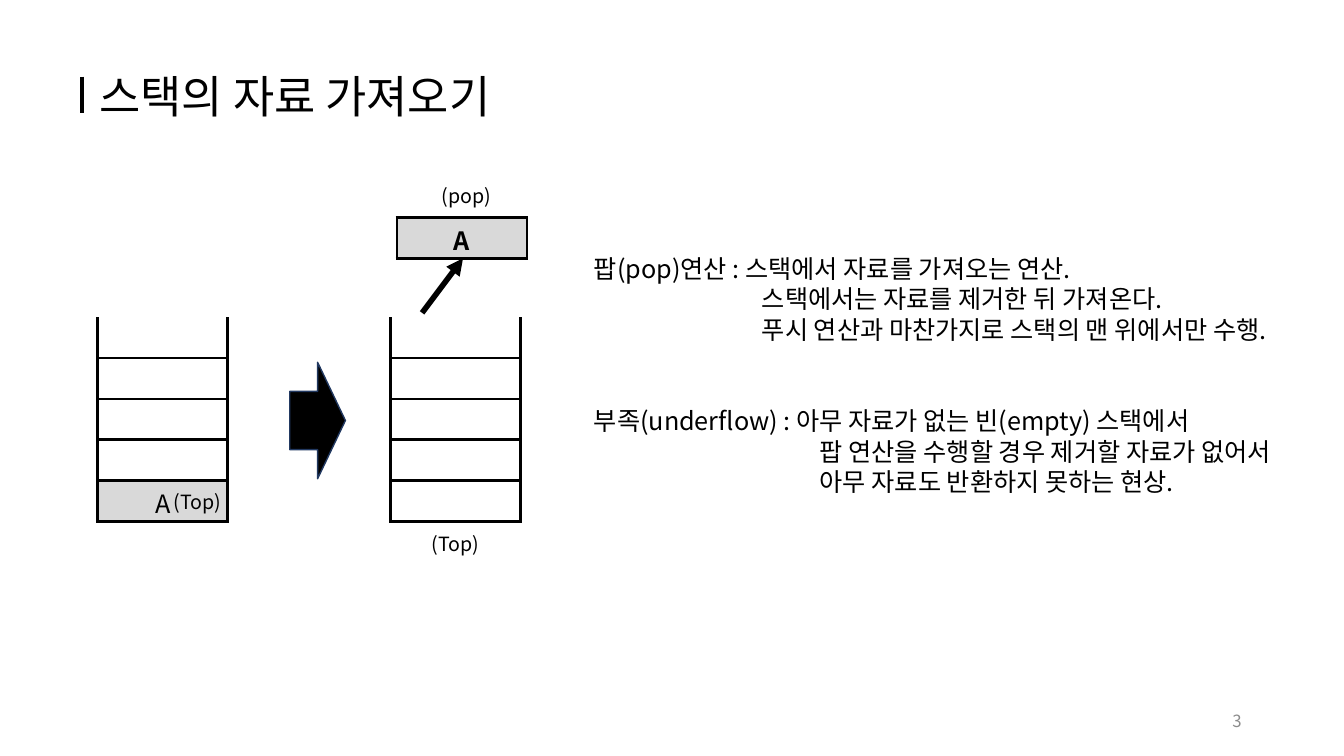
from lxml import etree
from pptx import Presentation
from pptx import util as u
from pptx.dml.color import RGBColor
from pptx.enum import shapes, text
from pptx.oxml.ns import qn

PX = 9525  # EMU in one px, 96 px to the inch


class Theme:
    font = "Noto Sans CJK KR"
    black, white, top_fill = "000000", "FFFFFF", "D9D9D9"
    arrow_edge, number = "223961", "8C8C8C"
    title, body, label, small = 32, 18, 14, 12
    leading = 1.21
    border = 2.25


def px(*lengths):
    return [u.Emu(length * PX) for length in lengths]


def rgb(colour):
    return RGBColor.from_string(colour)


def format_paragraph(paragraph, size, colour=Theme.black, bold=False,
                     align=text.PP_ALIGN.LEFT):
    paragraph.alignment = align
    paragraph.line_spacing = u.Pt(round(size * Theme.leading, 1))
    paragraph.space_before = u.Pt(0)
    for run in paragraph.runs:
        run.font.name, run.font.size, run.font.bold = Theme.font, u.Pt(size), bold
        run.font.color.rgb = rgb(colour)
        east_asian = etree.SubElement(run.font._element, qn("a:ea"))
        east_asian.set("typeface", Theme.font)


def place(shape, left, top, width, height):
    shape.left, shape.top, shape.width, shape.height = px(left, top, width, height)
    frame = shape.text_frame
    frame.word_wrap = True
    frame.auto_size = text.MSO_AUTO_SIZE.NONE
    frame.vertical_anchor = text.MSO_ANCHOR.TOP
    return frame


def add_label(slide, words, box, size=Theme.label, **style):
    frame = place(slide.shapes.add_textbox(*px(*box)), *box)
    frame.text = words
    format_paragraph(frame.paragraphs[0], size, **style)
    return frame


def add_line(slide, start, end, width, arrow=False):
    line = slide.shapes.add_connector(shapes.MSO_CONNECTOR.STRAIGHT, *px(*start, *end))
    line.line.color.rgb = rgb(Theme.black)
    line.line.width = u.Pt(width)
    if arrow:
        etree.SubElement(line.line._get_or_add_ln(), qn("a:tailEnd"), type="triangle")
    etree.SubElement(line._element.spPr, qn("a:effectLst"))


def set_borders(cell, open_top):
    properties = cell._tc.get_or_add_tcPr()
    for side in "LRTB":
        border = etree.SubElement(properties, qn(f"a:ln{side}"),
                                  w=str(u.Pt(Theme.border)))
        if side == "T" and open_top:
            etree.SubElement(border, qn("a:noFill"))
        else:
            fill = etree.SubElement(border, qn("a:solidFill"))
            etree.SubElement(fill, qn("a:srgbClr"), val=Theme.black)


def add_stack(slide, left, top, items, open_top=True, bold=False):
    """Draw one cell for each item; a filled item is shaded."""
    width, row_height = 124, 39
    frame = slide.shapes.add_table(len(items), 1,
                                   *px(left, top, width, row_height * len(items)))
    table = frame.table
    table.first_row = table.horz_banding = False
    for row, item in enumerate(items):
        cell = table.cell(row, 0)
        set_borders(cell, open_top and row == 0)
        cell.fill.solid()
        cell.fill.fore_color.rgb = rgb(Theme.top_fill if item else Theme.white)
        cell.margin_top, cell.margin_bottom = px(9, 0)
        cell.text = item
        format_paragraph(cell.text_frame.paragraphs[0], Theme.body, bold=bold,
                         align=text.PP_ALIGN.CENTER)


def add_block_arrow(slide, box):
    arrow = slide.shapes.add_shape(shapes.MSO_SHAPE.RIGHT_ARROW, *px(*box))
    arrow.shadow.inherit = False
    arrow.fill.solid()
    arrow.fill.fore_color.rgb = rgb(Theme.black)
    arrow.line.color.rgb = rgb(Theme.arrow_edge)
    arrow.line.width = u.Pt(1)


def fill_definitions(placeholder, box, definitions):
    """Write each definition with its later lines indented under the first."""
    frame = place(placeholder, *box)
    lines = [line for _, block in definitions for line in block]
    frame.text = "\n".join(lines)
    paragraphs = iter(frame.paragraphs)
    for number, (indent, block) in enumerate(definitions):
        for position in range(len(block)):
            paragraph = next(paragraphs)
            properties = paragraph._p.get_or_add_pPr()
            properties.set("marL", str(indent * PX if position else 0))
            properties.set("indent", "0")
            etree.SubElement(properties, qn("a:buNone"))
            format_paragraph(paragraph, Theme.body)
            if number and not position:
                paragraph.space_before = u.Pt(2 * Theme.body * Theme.leading)


def main():
    presentation = Presentation()
    presentation.slide_width, presentation.slide_height = px(1280, 720)
    slide = presentation.slides.add_slide(presentation.slide_layouts[1])

    # Title with its bar, and page number
    title = place(slide.shapes.title, 85, 60, 554, 61)
    title.text = "스택의 자료 가져오기"
    format_paragraph(title.paragraphs[0], Theme.title)
    add_line(slide, (78, 73), (78, 108), 3)
    number = add_label(slide, "3", (904, 667, 288, 38), Theme.small,
                       colour=Theme.number, align=text.PP_ALIGN.RIGHT)
    number.vertical_anchor = text.MSO_ANCHOR.MIDDLE

    # Stack before and after the pop
    add_stack(slide, 93, 302, ["", "", "", "", "A"])
    add_block_arrow(slide, (276, 345, 53, 111))
    add_stack(slide, 378, 207, ["A"], open_top=False, bold=True)
    add_line(slide, (402, 298), (441, 246), 4, arrow=True)
    add_stack(slide, 372, 302, [""] * 5)

    # Definitions
    fill_definitions(slide.placeholders[1], (556, 236, 722, 242), [
        (160, ["팝(pop)연산 : 스택에서 자료를 가져오는 연산.",
               "스택에서는 자료를 제거한 뒤 가져온다.",
               "푸시 연산과 마찬가지로 스택의 맨 위에서만 수행."]),
        (215, ["부족(underflow) : 아무 자료가 없는 빈(empty) 스택에서",
               "팝 연산을 수행할 경우 제거할 자료가 없어서",
               "아무 자료도 반환하지 못하는 현상."]),
    ])

    # Stack labels
    for words, left, top in [("(Top)", 156, 462), ("(Top)", 402, 502),
                             ("(pop)", 411, 170)]:
        add_label(slide, words, (left, top, 70, 33))

    presentation.save("out.pptx")


if __name__ == "__main__":
    main()
